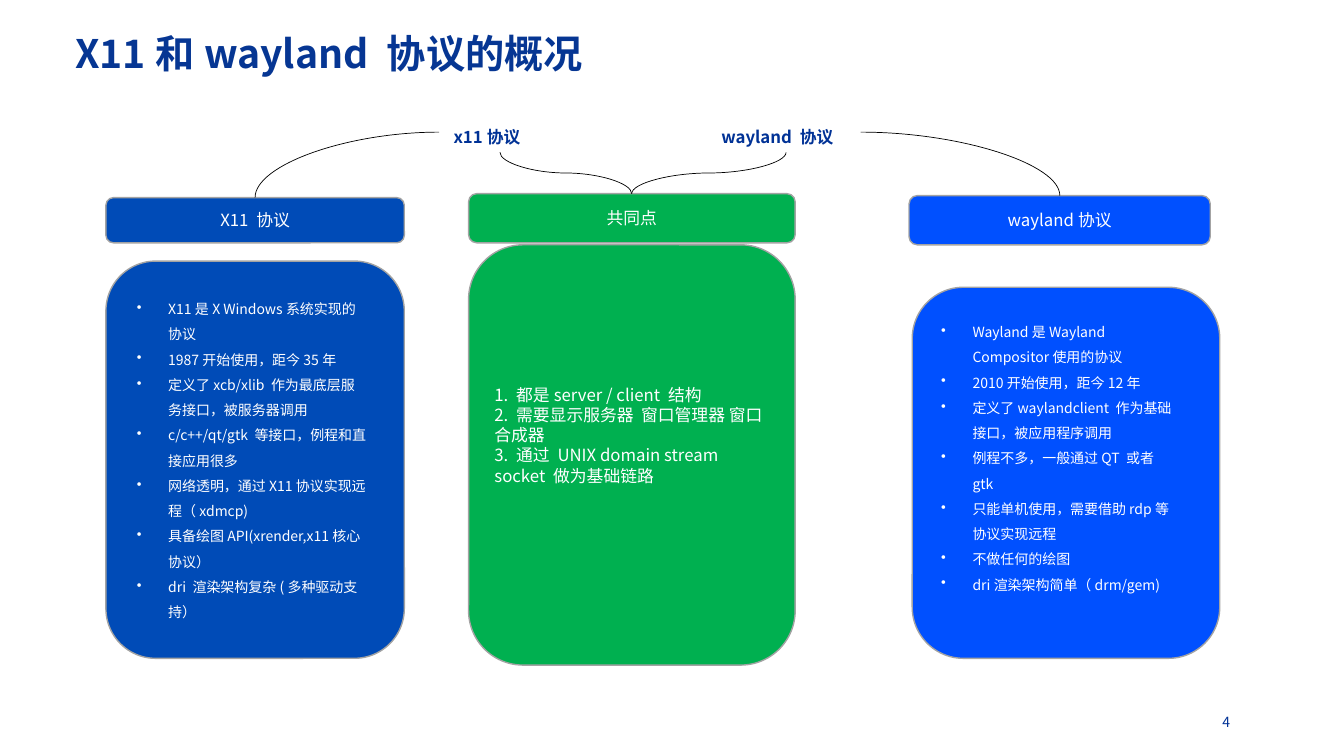
from lxml import etree
from pptx import Presentation
from pptx.dml.color import RGBColor
from pptx.enum.shapes import MSO_CONNECTOR, MSO_SHAPE
from pptx.enum.text import MSO_ANCHOR, PP_ALIGN
from pptx.oxml.ns import qn
from pptx.util import Cm, Pt

ROUND = MSO_SHAPE.ROUNDED_RECTANGLE
CURVE = MSO_CONNECTOR.CURVE
TOP, MIDDLE = MSO_ANCHOR.TOP, MSO_ANCHOR.MIDDLE
LEFT, CENTER, JUSTIFY = PP_ALIGN.LEFT, PP_ALIGN.CENTER, PP_ALIGN.JUSTIFY

THEME = {
    "font": "Noto Sans CJK SC",
    "title": {"size": 28, "color": "063693", "bold": True},
    "label": {"size": 12, "color": "003296", "bold": True},
    "box": {"size": 12, "color": "FFFFFF", "bold": False},
    "list": {"size": 10, "color": "FFFFFF", "bold": False},
    "page": {"size": 10, "color": "003296", "bold": False},
    "x11": "004BB7", "common": "00B050", "wayland": "0050FF",
    "border": "A3A3A3", "curve": "000000",
}


def write(sp, lines, style, align=LEFT, anchor=TOP, spacing=None, bullet=False):
    """Fill a shape or text box with one paragraph per line."""
    look = THEME[style]
    tf = sp.text_frame
    tf.word_wrap = True
    tf.vertical_anchor = anchor
    for i, line in enumerate(lines):
        p = tf.add_paragraph() if i else tf.paragraphs[0]
        p.alignment = align
        p.line_spacing = spacing
        if bullet:
            pPr = p._p.get_or_add_pPr()
            pPr.set("marL", str(Cm(0.79)))
            pPr.set("indent", str(-Cm(0.79)))
            etree.SubElement(pPr, qn("a:buChar")).set("char", "•")
        r = p.add_run()
        r.text = line
        font = {"name": THEME["font"], "size": Pt(look["size"]), "bold": look["bold"]}
        for name, value in font.items():
            setattr(r.font, name, value)
        r.font.color.rgb = RGBColor.from_string(look["color"])
        etree.SubElement(r._r.rPr, qn("a:ea")).set("typeface", THEME["font"])


def add_box(box, color):
    sp = s.shapes.add_shape(ROUND, *map(Cm, box))
    sp.shadow.inherit = False
    sp.fill.solid()
    sp.fill.fore_color.rgb = RGBColor.from_string(color)
    sp.line.color.rgb = RGBColor.from_string(THEME["border"])
    sp.line.width = Pt(1)
    return sp


prs = Presentation()
prs.slide_width, prs.slide_height = Cm(33.87), Cm(19.05)
s = prs.slides.add_slide(prs.slide_layouts[6])

# Title, protocol labels and page number
texts = [
    ((1.65, 0.86, 19.69, 1.09), "X11和wayland 协议的概况", "title", LEFT, MIDDLE, 0.9),
    ((11.18, 2.82, 3.02, 1.02), "x11协议", "label", JUSTIFY, TOP, 1.5),
    ((17.93, 2.82, 3.76, 1.02), "wayland 协议", "label", JUSTIFY, TOP, 1.5),
    ((28.96, 17.86, 3.89, 0.86), "4", "page", CENTER, TOP, None),
]
for box, text, style, align, anchor, spacing in texts:
    tb = s.shapes.add_textbox(*map(Cm, box))
    write(tb, [text], style, align, anchor, spacing)

# Column headings
headings = [
    ((11.81, 4.88, 8.23, 1.24), "共同点", "common"),
    ((2.67, 4.98, 7.52, 1.14), "X11 协议", "x11"),
    ((22.91, 4.93, 7.59, 1.24), "wayland协议", "wayland"),
]
for box, text, color in headings:
    write(add_box(box, THEME[color]), [text], "box", CENTER, MIDDLE)

# Curves from the labels to the headings: quarter arcs outwards, S-curves inwards
curves = [
    ("curvedConnector2", (11.07, 3.33), (6.43, 4.98)),
    ("curvedConnector2", (21.69, 3.33), (26.71, 4.93)),
    ("curvedConnector3", (12.6, 3.84), (15.92, 4.88)),
    ("curvedConnector3", (19.81, 3.84), (15.92, 4.88)),
]
for preset, (x1, y1), (x2, y2) in curves:
    turned = preset == "curvedConnector3"
    if turned:  # lay the curve on its side, then turn it a quarter clockwise
        cx, cy, dx, dy = (x1 + x2) / 2, (y1 + y2) / 2, (x2 - x1) / 2, (y2 - y1) / 2
        x1, y1, x2, y2 = cx - dy, cy + dx, cx + dy, cy - dx
    c = s.shapes.add_connector(CURVE, Cm(x1), Cm(y1), Cm(x2), Cm(y2))
    c.line.color.rgb = RGBColor.from_string(THEME["curve"])
    c.line.width = Pt(0.5)
    spPr = c._element.spPr
    spPr.find(qn("a:prstGeom")).set("prst", preset)
    if turned:
        spPr.find(qn("a:xfrm")).set("rot", str(90 * 60000))
    etree.SubElement(spPr, qn("a:effectLst"))

# Shared features
common = add_box((11.81, 6.17, 8.23, 10.59), THEME["common"])
common.text_frame.margin_bottom = Cm(1.13)
write(common, [
    "1. 都是server / client 结构",
    "2. 需要显示服务器  窗口管理器 窗口 合成器",
    "3. 通过 UNIX domain stream socket 做为基础链路",
], "box", LEFT, MIDDLE)

# Features of each protocol
features = [
    ("x11", (2.67, 6.58, 7.52, 10.01), (3.2, 7.24, 6.32, 8.38), [
        "X11是X Windows系统实现的协议",
        "1987开始使用，距今35年",
        "定义了xcb/xlib 作为最底层服务接口，被服务器调用",
        "c/c++/qt/gtk 等接口，例程和直接应用很多",
        "网络透明，通过X11协议实现远程（xdmcp)",
        "具备绘图API(xrender,x11核心协议）",
        "dri 渲染架构复杂(多种驱动支持）",
    ]),
    ("wayland", (22.99, 7.24, 7.75, 9.35), (23.47, 7.82, 6.45, 7.32), [
        "Wayland是Wayland Compositor使用的协议",
        "2010开始使用，距今12年",
        "定义了waylandclient 作为基础接口，被应用程序调用",
        "例程不多，一般通过QT 或者gtk",
        "只能单机使用，需要借助rdp等协议实现远程",
        "不做任何的绘图",
        "dri渲染架构简单（drm/gem)",
    ]),
]
for color, panel, area, lines in features:
    add_box(panel, THEME[color])
    tb = s.shapes.add_textbox(*map(Cm, area))
    write(tb, lines, "list", spacing=1.5, bullet=True)

prs.save("out.pptx")
